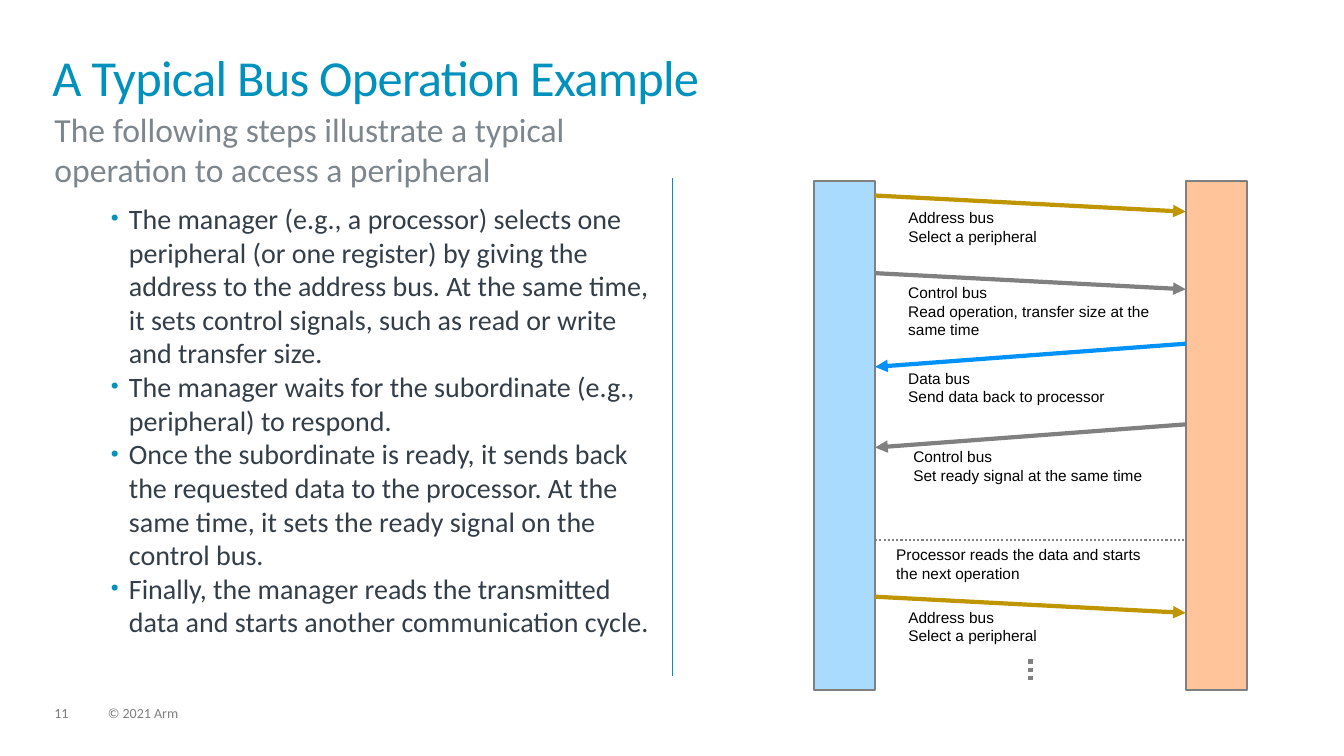
from pptx import Presentation
from pptx.dml.color import RGBColor
from pptx.enum.dml import MSO_LINE
from pptx.enum.shapes import MSO_CONNECTOR, MSO_SHAPE
from pptx.enum.text import MSO_ANCHOR
from pptx.oxml.ns import qn
from pptx.util import Inches, Pt
from lxml.etree import SubElement

# Content
TITLE = "A Typical Bus Operation Example"
SUBTITLE = "The following steps illustrate a typical operation to access a peripheral"
STEPS = [
    "The manager (e.g., a processor) selects one peripheral (or one register) by giving the "
    "address to the address bus. At the same time, it sets control signals, such as read or "
    "write and transfer size.",
    "The manager waits for the subordinate (e.g., peripheral) to respond.",
    "Once the subordinate is ready, it sends back the requested data to the processor. At the "
    "same time, it sets the ready signal on the control bus.",
    "Finally, the manager reads the transmitted data and starts another communication cycle.",
]
FOOTERS = [("11", 0.54, 0.34), ("© 2021 Arm", 1.07, 5.07)]

# Bus transfers: colour, direction, arrow start height
TRANSFERS = [
    ("address", "request", 1.94),
    ("control", "request", 2.71),
    ("data", "response", 3.41),
    ("control", "response", 4.21),
    ("address", "request", 5.92),
]
# Notes: lines, left, top, width, height
NOTES = [
    (["Address bus", "Select a peripheral"], 8.91, 2.02, 2.62, 0.47),
    (["Control bus", "Read operation, transfer size at the same time"], 8.91, 2.76, 2.74, 0.66),
    (["Data bus", "Send data back to processor"], 8.91, 3.61, 3.16, 0.47),
    (["Control bus", "Set ready signal at the same time"], 8.96, 4.39, 2.67, 0.47),
    (["Processor reads the data and starts the next operation"], 8.79, 5.36, 2.85, 0.47),
    (["Address bus", "Select a peripheral"], 8.91, 5.98, 2.62, 0.47),
]

COLORS = {
    "title": "0091BD", "subtitle": "7D868C", "body": "333E48", "footer": "7F7F7F",
    "note": "000000", "manager": "A8DBFF", "subordinate": "FFC499",
    "address": "BF9500", "control": "808080", "data": "0092F8", "outline": "808080",
}

# Bars of the sequence diagram
BAR_TOP, BAR_WIDTH, BAR_HEIGHT = 1.8, 0.61, 5.05
MANAGER_LEFT, SUBORDINATE_LEFT = 8.07, 11.76
MANAGER_EDGE = MANAGER_LEFT + BAR_WIDTH
MIDDLE = (MANAGER_EDGE + SUBORDINATE_LEFT) / 2
DROPS = {"request": 0.16, "response": 0.23}

deck = Presentation()
deck.slide_width, deck.slide_height = Inches(13.33), Inches(7.5)
page = deck.slides.add_slide(deck.slide_layouts[6])


def rgb(name):
    return RGBColor.from_string(COLORS[name])


def add_bullet(para):
    properties = para._p.get_or_add_pPr()
    properties.set("marL", str(Inches(0.64)))
    properties.set("indent", str(Inches(-0.18)))
    color = SubElement(properties, qn("a:buClr"))
    SubElement(color, qn("a:srgbClr"), val=COLORS["title"])
    SubElement(properties, qn("a:buSzPct"), val="80000")
    SubElement(properties, qn("a:buFont"), typeface="Arial")
    SubElement(properties, qn("a:buChar"), char="•")


def add_text(lines, left, top, width, height, *, size, color, font="Calibri", inset=True,
             spacing=None, tracking=None, bullets=False, anchor=MSO_ANCHOR.TOP):
    box = page.shapes.add_textbox(Inches(left), Inches(top), Inches(width), Inches(height))
    frame = box.text_frame
    frame.word_wrap = True
    frame.vertical_anchor = anchor
    if not inset:
        frame.margin_left = frame.margin_right = frame.margin_top = frame.margin_bottom = 0
    for index, line in enumerate(lines):
        para = frame.paragraphs[0] if index == 0 else frame.add_paragraph()
        if spacing:
            para.line_spacing = spacing
        if bullets:
            para.level = 1
            add_bullet(para)
        span = para.add_run()
        span.text = line
        span.font.name, span.font.size = font, Pt(size)
        span.font.color.rgb = rgb(color)
        if tracking:
            span._r.get_or_add_rPr().set("spc", str(int(tracking * 100)))


def add_line(x1, y1, x2, y2, *, color, weight, dotted=False, arrow=False):
    line = page.shapes.add_connector(
        MSO_CONNECTOR.STRAIGHT, Inches(x1), Inches(y1), Inches(x2), Inches(y2))
    line.line.color.rgb = rgb(color)
    line.line.width = Pt(weight)
    if dotted:
        line.line.dash_style = MSO_LINE.ROUND_DOT
    if arrow:
        SubElement(line.line._get_or_add_ln(), qn("a:tailEnd"), type="triangle")
    SubElement(line._element.spPr, qn("a:effectLst"))


# Footer and divider
for text, left, width in FOOTERS:
    add_text([text], left, 7.01, width, 0.15, size=10, color="footer", inset=False, spacing=0.9)
add_line(6.67, 1.77, 6.67, 6.71, color="title", weight=1)

# Heading and steps
add_text([TITLE], 0.52, 0.52, 12.28, 0.56, size=36, color="title", inset=False,
         spacing=0.85, tracking=-0.5, anchor=MSO_ANCHOR.MIDDLE)
add_text([SUBTITLE], 0.54, 1.08, 5.76, 0.77, size=24, color="subtitle", inset=False)
add_text(STEPS, 0.54, 1.95, 6.03, 4.47, size=20, color="body", bullets=True)

# Manager and subordinate bars
for name, left in (("manager", MANAGER_LEFT), ("subordinate", SUBORDINATE_LEFT)):
    bar = page.shapes.add_shape(MSO_SHAPE.RECTANGLE, Inches(left), Inches(BAR_TOP),
                                Inches(BAR_WIDTH), Inches(BAR_HEIGHT))
    bar.shadow.inherit = False
    bar.fill.solid()
    bar.fill.fore_color.rgb = rgb(name)
    bar.line.color.rgb = rgb("outline")
    bar.line.width = Pt(1.5)

# Transfers between the bars
for bus, direction, start in TRANSFERS:
    ends = (MANAGER_EDGE, SUBORDINATE_LEFT)
    x1, x2 = ends if direction == "request" else ends[::-1]
    add_line(x1, start, x2, start + DROPS[direction], color=bus, weight=3, arrow=True)

# End of the first operation, and dots for what follows
add_line(MANAGER_EDGE, 5.36, SUBORDINATE_LEFT, 5.36, color="outline", weight=1.5, dotted=True)
add_line(MIDDLE, 6.75, MIDDLE, 6.54, color="outline", weight=3, dotted=True)

for lines, left, top, width, height in NOTES:
    add_text(lines, left, top, width, height, size=11, color="note", font="Arial")

deck.save("out.pptx")
